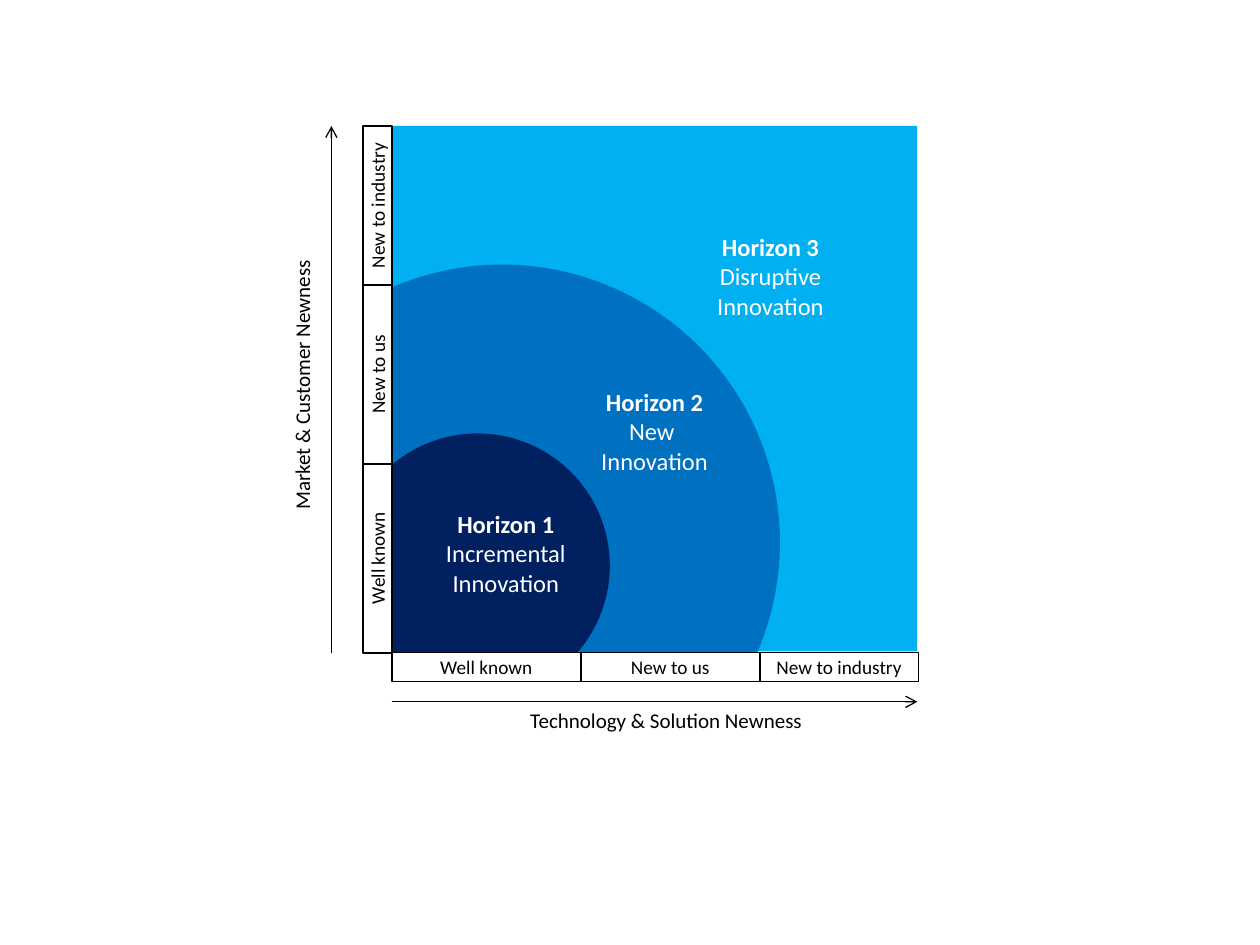
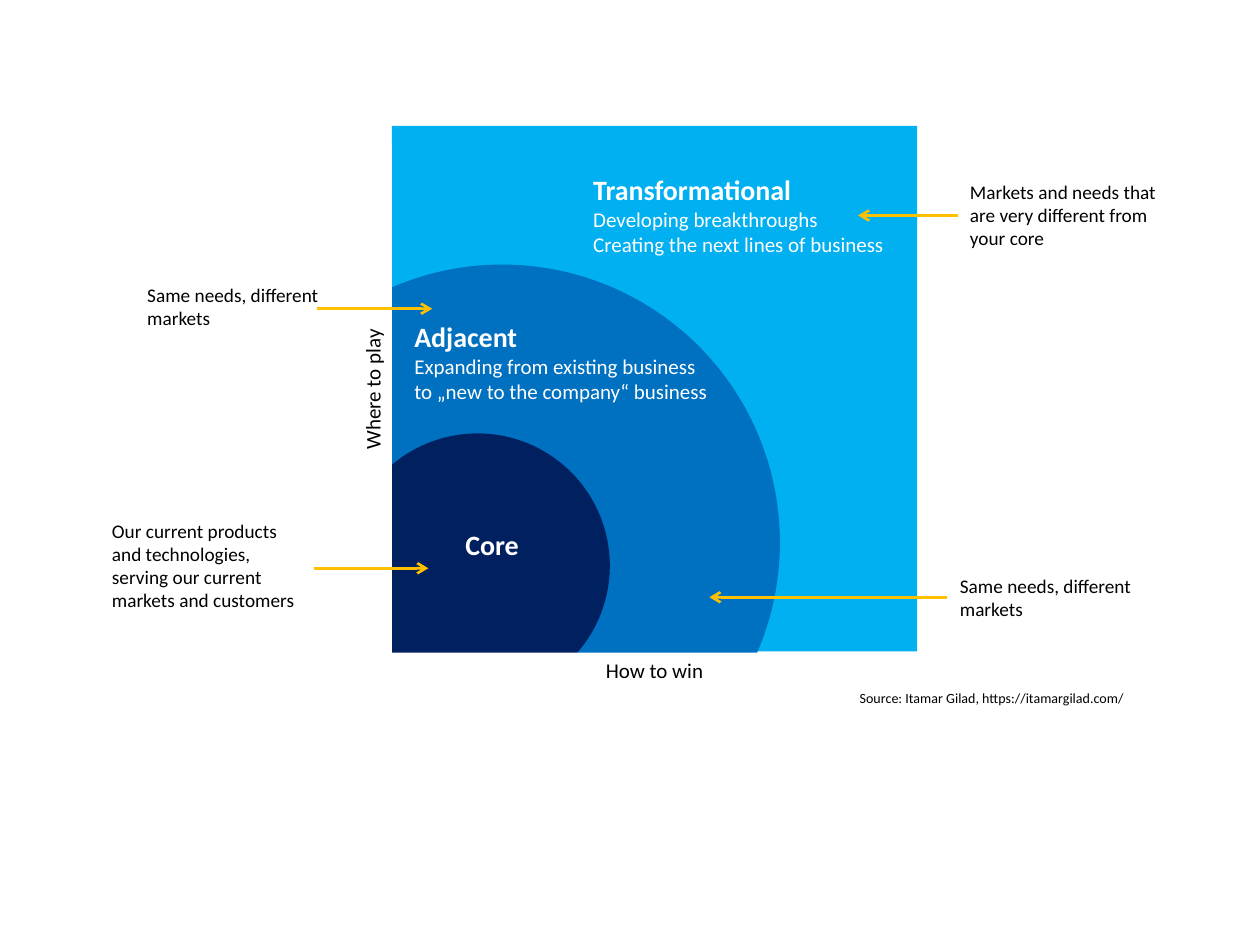
from lxml import etree
from pptx import Presentation
from pptx.dml.color import RGBColor
from pptx.enum import shapes, text
from pptx.oxml import ns
from pptx.util import Inches, Pt

COLORS = {
    "outer": "00B0F0",
    "middle": "0070C0",
    "inner": "002060",
    "white": "FFFFFF",
    "black": "000000",
    "pointer": "FFC000",
}
FONT = "Calibri"
BLANK_LAYOUT = 6
LEFT, TOP, SIDE = 3.11, 1, 4.17
BASE = 5.18
SCALE_HEIGHT = 0.23
SCALE = [("Well known", 1.5), ("New to us", 1.42), ("New to industry", 1.26)]
ALIGN = text.PP_ALIGN


def rgb(name):
    return RGBColor.from_string(COLORS[name])


class Sketch:
    """Draws elements in the shared style on the current slide."""

    def __init__(self):
        self.deck = Presentation()
        self.deck.slide_width, self.deck.slide_height = Inches(10), Inches(7.5)
        self.page = None

    def new_page(self):
        layout = self.deck.slide_layouts[BLANK_LAYOUT]
        self.page = self.deck.slides.add_slide(layout)

    def shape(self, kind, left, top, width, height, fill=None):
        item = self.page.shapes.add_shape(
            kind, Inches(left), Inches(top), Inches(width), Inches(height))
        item.shadow.inherit = False
        if fill:
            item.fill.solid()
            item.fill.fore_color.rgb = rgb(fill)
        else:
            item.fill.background()
        item.line.fill.background()
        return item

    def add_lines(self, frame, lines, size, color, align):
        """Add one paragraph per line; a line is text or (text, size, bold)."""
        for number, line in enumerate(lines):
            words, points, bold = (line, size, False) if isinstance(line, str) else line
            para = frame.paragraphs[0] if number == 0 else frame.add_paragraph()
            para.alignment = align
            span = para.add_run()
            span.text = words
            span.font.name = FONT
            span.font.size = Pt(points)
            span.font.bold = bold
            span.font.color.rgb = rgb(color)

    def label(self, left, top, width, height, lines, size=12, color="black",
              align=ALIGN.LEFT, turn=0, wrap=True):
        box = self.page.shapes.add_textbox(
            Inches(left), Inches(top), Inches(width), Inches(height))
        box.rotation = turn
        box.text_frame.word_wrap = wrap
        box.text_frame.auto_size = text.MSO_AUTO_SIZE.SHAPE_TO_FIT_TEXT
        self.add_lines(box.text_frame, lines, size, color, align)

    def scale_cell(self, center_x, center_y, width, words, turn=0):
        cell = self.shape(shapes.MSO_SHAPE.RECTANGLE, center_x - width / 2,
                          center_y - SCALE_HEIGHT / 2, width, SCALE_HEIGHT)
        cell.rotation = turn
        cell.line.color.rgb = rgb("black")
        cell.line.width = Pt(1)
        cell.text_frame.word_wrap = True
        cell.text_frame.vertical_anchor = text.MSO_ANCHOR.MIDDLE
        self.add_lines(cell.text_frame, [words], 11, "black", ALIGN.CENTER)

    def arrow(self, start, end, color="black", width=0.75):
        line = self.page.shapes.add_connector(
            shapes.MSO_CONNECTOR.STRAIGHT, *(Inches(n) for n in (*start, *end)))
        line.line.color.rgb = rgb(color)
        line.line.width = Pt(width)
        properties = line.element.spPr
        outline = properties.find(ns.qn("a:ln"))
        etree.SubElement(outline, ns.qn("a:tailEnd"), type="arrow")
        etree.SubElement(properties, ns.qn("a:effectLst"))

    def horizons(self):
        """Draw the square with two circles, cut off by white masks."""
        rect, oval = shapes.MSO_SHAPE.RECTANGLE, shapes.MSO_SHAPE.OVAL
        self.shape(rect, LEFT, TOP, SIDE, SIDE, "outer")
        self.shape(oval, 1.78, 2.1, 4.41, 4.41, "middle")
        self.shape(oval, 2.74, 3.44, 2.1, 2.1, "inner")
        self.shape(rect, 0.43, 1.15, LEFT - 0.43, 5.51, "white")
        self.shape(rect, 2.32, BASE, 5.04, 1.5, "white")


def three_horizons(sketch):
    sketch.new_page()
    sketch.horizons()
    for left, top, name, kind in [
        (3.11, 3.99, "Horizon 1", ["Incremental Innovation"]),
        (4.29, 3.02, "Horizon 2", ["New ", "Innovation"]),
        (5.21, 1.79, "Horizon 3", ["Disruptive", "Innovation"]),
    ]:
        sketch.label(left, top, 1.81, 0.81, [(name, 14, True), *kind],
                     14, "white", ALIGN.CENTER)

    sketch.arrow((LEFT, 5.57), (LEFT + SIDE, 5.57))
    sketch.label(4.11, 5.57, 2.38, 0.3, ["Technology & Solution Newness"], wrap=False)
    sketch.arrow((2.63, BASE), (2.63, TOP))
    sketch.label(1.29, 2.89, 2.21, 0.3, ["Market & Customer Newness"],
                 turn=270, wrap=False)

    offset = 0
    for words, width in SCALE:
        middle = offset + width / 2
        sketch.scale_cell(LEFT + middle, BASE + SCALE_HEIGHT / 2, width, words)
        sketch.scale_cell(LEFT - SCALE_HEIGHT / 2, BASE - middle, width, words, 270)
        offset += width


def growth_areas(sketch):
    sketch.new_page()
    sketch.horizons()
    for left, top, width, height, name, details, align in [
        (3, 4.14, 1.81, 0.37, "Core", [], ALIGN.CENTER),
        (3.19, 2.49, 2.6, 0.77, "Adjacent",
         ["Expanding from existing business to „new to the company“ business"],
         ALIGN.LEFT),
        (4.61, 1.32, 2.51, 0.77, "Transformational",
         ["Developing breakthroughs", "Creating the next lines of business"],
         ALIGN.LEFT),
    ]:
        sketch.label(left, top, width, height, [(name, 16, True), *details],
                     12, "white", align)

    sketch.label(LEFT, 5.17, SIDE, 0.3, ["How to win"], align=ALIGN.CENTER)
    sketch.label(0.87, 2.94, SIDE, 0.3, ["Where to play"],
                 align=ALIGN.CENTER, turn=270)
    sketch.label(6.18, 5.42, 2.84, 0.24,
                 ["Source: Itamar Gilad, https://itamargilad.com/"],
                 8, align=ALIGN.RIGHT)

    for left, top, height, note, start, end, level in [
        (7.6, 1.38, 0.66, "Markets and needs that are very different from your core",
         7.6, 6.81, 1.71),
        (1.07, 2.2, 0.47, "Same needs, different markets", 2.52, 3.43, 2.45),
        (7.52, 4.51, 0.47, "Same needs, different markets", 7.52, 5.63, 4.74),
        (0.79, 4.07, 0.84, "Our current products and technologies, "
         "serving our current markets and customers", 2.49, 3.4, 4.51),
    ]:
        sketch.label(left, top, 1.73, height, [note], 11)
        sketch.arrow((start, level), (end, level), "pointer", 1.5)


def main():
    sketch = Sketch()
    three_horizons(sketch)
    growth_areas(sketch)
    sketch.deck.save("out.pptx")


if __name__ == "__main__":
    main()
